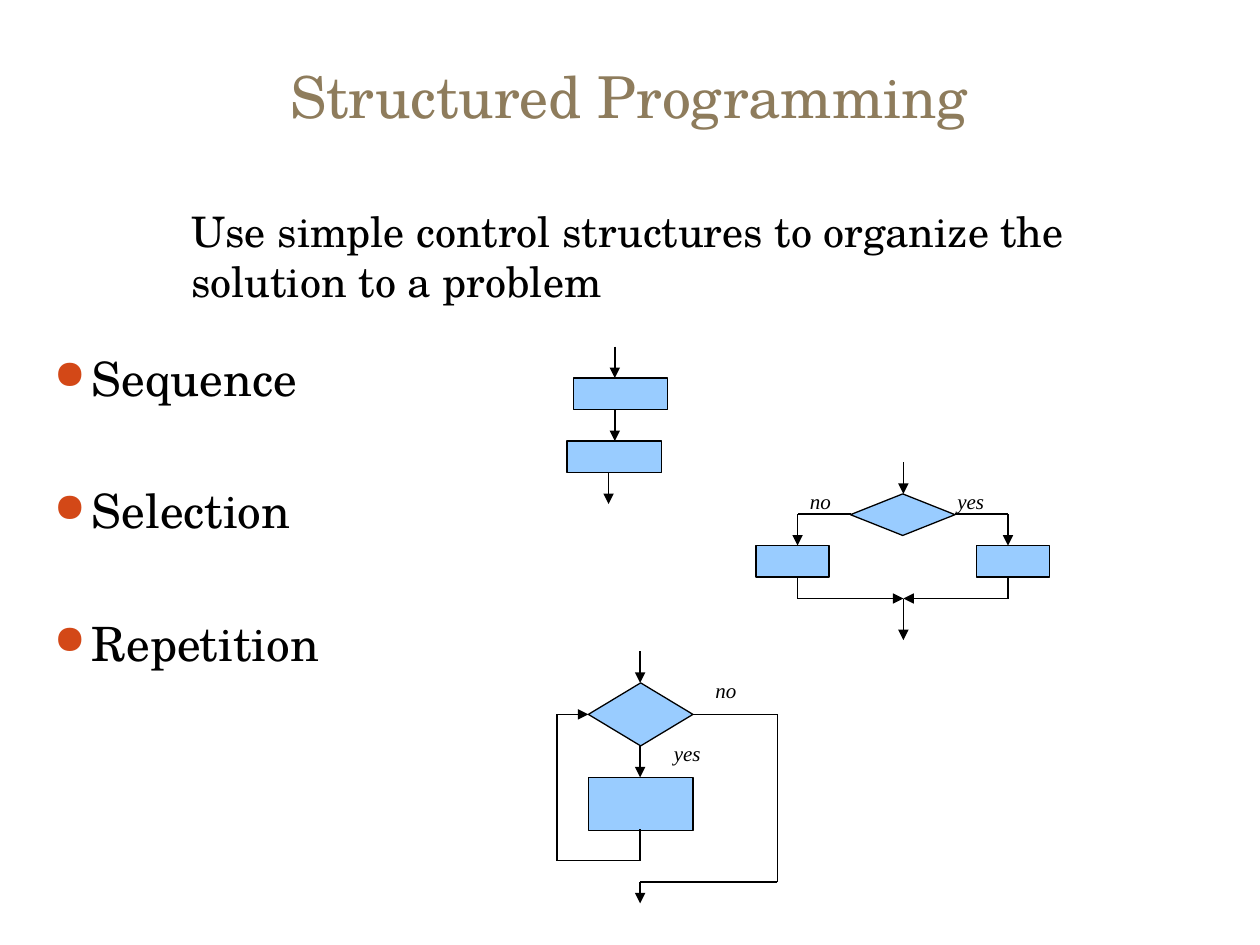
"""Build a slide that pairs the three control structures with their flowcharts."""

from dataclasses import dataclass
from itertools import pairwise

from lxml.etree import SubElement
from pptx import Presentation
from pptx.dml.color import RGBColor
from pptx.enum.shapes import MSO_CONNECTOR, MSO_SHAPE
from pptx.enum.text import MSO_ANCHOR, PP_ALIGN
from pptx.oxml.ns import qn
from pptx.shapes.group import GroupShape
from pptx.slide import Slide
from pptx.text.text import TextFrame, _Paragraph
from pptx.util import Inches, Pt

BLACK = RGBColor(0x00, 0x00, 0x00)
TAUPE = RGBColor(0x8E, 0x7C, 0x5C)
ORANGE = RGBColor(0xD3, 0x48, 0x17)
SKY = RGBColor(0x99, 0xCC, 0xFF)
SERIF = "TeX Gyre Schola"
LABEL_FONT = "Times New Roman"
LINE_WIDTH = Pt(0.75)

Point = tuple[float, float]


@dataclass(frozen=True)
class Step:
    left: float
    top: float
    width: float
    height: float
    kind: MSO_SHAPE = MSO_SHAPE.FLOWCHART_PROCESS


@dataclass(frozen=True)
class Route:
    points: tuple[Point, ...]
    arrow: bool = True


@dataclass(frozen=True)
class Label:
    wording: str
    left: float
    top: float


@dataclass(frozen=True)
class Flowchart:
    steps: tuple[Step, ...]
    routes: tuple[Route, ...]
    labels: tuple[Label, ...] = ()


DECISION = MSO_SHAPE.FLOWCHART_DECISION

SELECTION = Flowchart(
    steps=(
        Step(6.75, 3.92, 0.83, 0.33, DECISION),
        Step(6, 4.33, 0.58, 0.25),
        Step(7.75, 4.33, 0.58, 0.25),
    ),
    routes=(
        Route(((7.17, 3.67), (7.17, 3.92))),
        Route(((6.75, 4.08), (6.33, 4.08), (6.33, 4.33))),
        Route(((7.58, 4.08), (8, 4.08), (8, 4.33))),
        Route(((6.33, 4.58), (6.33, 4.75), (7.17, 4.75))),
        Route(((8, 4.58), (8, 4.75), (7.17, 4.75))),
        Route(((7.17, 4.75), (7.17, 5.08))),
    ),
    labels=(Label("yes", 7.5, 3.83), Label("no", 6.33, 3.83)),
)

REPETITION = Flowchart(
    steps=(
        Step(4.67, 5.42, 0.83, 0.5, DECISION),
        Step(4.67, 6.17, 0.83, 0.42),
    ),
    routes=(
        Route(((5.08, 5.17), (5.08, 5.42))),
        Route(((5.08, 5.92), (5.08, 6.17))),
        Route(((5.08, 6.58), (5.08, 6.83), (4.42, 6.83), (4.42, 5.67), (4.67, 5.67))),
        Route(((5.5, 5.67), (6.17, 5.67), (6.17, 7), (5.08, 7), (5.08, 7.17))),
    ),
    labels=(Label("yes", 5.25, 5.83), Label("no", 5.58, 5.33)),
)

SEQUENCE = Flowchart(
    steps=(Step(4.55, 3, 0.75, 0.25), Step(4.5, 3.5, 0.75, 0.25)),
    routes=(
        Route(((4.88, 2.75), (4.88, 3))),
        Route(((4.88, 3.25), (4.88, 3.5))),
        Route(((4.83, 3.75), (4.83, 4))),
    ),
)


def add_run(
    paragraph: _Paragraph, wording: str, size: float, color: RGBColor = BLACK,
    face: str = SERIF, italic: bool = False,
) -> None:
    """Append one formatted run."""
    run = paragraph.add_run()
    run.text = wording
    run.font.name = face
    run.font.size = Pt(size)
    run.font.italic = italic
    run.font.color.rgb = color


def add_text_frame(
    owner: Slide | GroupShape, left: float, top: float, width: float, height: float
) -> TextFrame:
    """Add a wrapping text box and return its frame."""
    shapes = owner.shapes
    frame = shapes.add_textbox(
        Inches(left), Inches(top), Inches(width), Inches(height)
    ).text_frame
    frame.word_wrap = True
    return frame


def add_bullet(paragraph: _Paragraph) -> None:
    """Give a paragraph a hanging round bullet."""
    properties = paragraph._p.get_or_add_pPr()
    properties.set("marL", str(Inches(0.3)))
    properties.set("indent", str(-Inches(0.3)))
    color = SubElement(properties, qn("a:buClr"))
    SubElement(color, qn("a:srgbClr"), val=str(ORANGE))
    SubElement(properties, qn("a:buSzPct"), val="85000")
    SubElement(properties, qn("a:buChar"), char="●")


def draw_step(group: GroupShape, step: Step) -> None:
    """Draw one process or decision."""
    shape = group.shapes.add_shape(
        step.kind, Inches(step.left), Inches(step.top),
        Inches(step.width), Inches(step.height),
    )
    shape.shadow.inherit = False
    shape.fill.solid()
    shape.fill.fore_color.rgb = SKY
    shape.line.color.rgb = BLACK
    shape.line.width = LINE_WIDTH


def draw_route(group: GroupShape, route: Route) -> None:
    """Draw a chain of straight lines, with an arrowhead at its end."""
    for start, end in pairwise(route.points):
        segment = group.shapes.add_connector(
            MSO_CONNECTOR.STRAIGHT, *map(Inches, start + end)
        )
        segment.line.color.rgb = BLACK
        segment.line.width = LINE_WIDTH
        if route.arrow and end == route.points[-1]:
            SubElement(segment.line._get_or_add_ln(), qn("a:tailEnd"), type="triangle")
        SubElement(segment._element.spPr, qn("a:effectLst"))


def draw_flowchart(slide: Slide, chart: Flowchart) -> None:
    """Draw one flowchart as a group."""
    group = slide.shapes.add_group_shape()
    for step in chart.steps:
        draw_step(group, step)
    for route in chart.routes:
        draw_route(group, route)
    for label in chart.labels:
        frame = add_text_frame(group, label.left, label.top, 0.58, 0.3)
        add_run(frame.paragraphs[0], label.wording, 12, face=LABEL_FONT, italic=True)


def main() -> None:
    """Assemble and save the slide."""
    deck = Presentation()
    deck.slide_width, deck.slide_height = Inches(10), Inches(7.5)
    slide = deck.slides.add_slide(deck.slide_layouts[5])

    title = slide.shapes.title
    title.left, title.top = Inches(0.33), Inches(0.25)
    title.width, title.height = Inches(9.33), Inches(0.83)
    title.text_frame.vertical_anchor = MSO_ANCHOR.BOTTOM
    heading = title.text_frame.paragraphs[0]
    heading.alignment = PP_ALIGN.CENTER
    add_run(heading, "Structured Programming", 33, TAUPE)

    structures = add_text_frame(slide, 0.33, 2.72, 9.3, 3.95)
    for index, structure in enumerate(("Sequence", "Selection", "Repetition")):
        paragraph = structures.add_paragraph() if index else structures.paragraphs[0]
        add_bullet(paragraph)
        if index:
            paragraph.space_before = Pt(43.3)
        add_run(paragraph, structure, 27)

    for chart in (SELECTION, REPETITION, SEQUENCE):
        draw_flowchart(slide, chart)

    advice = add_text_frame(slide, 1.42, 1.58, 7.33, 0.9)
    add_run(
        advice.paragraphs[0],
        "Use simple control structures to organize the solution to a problem", 24,
    )
    deck.save("out.pptx")


if __name__ == "__main__":
    main()
